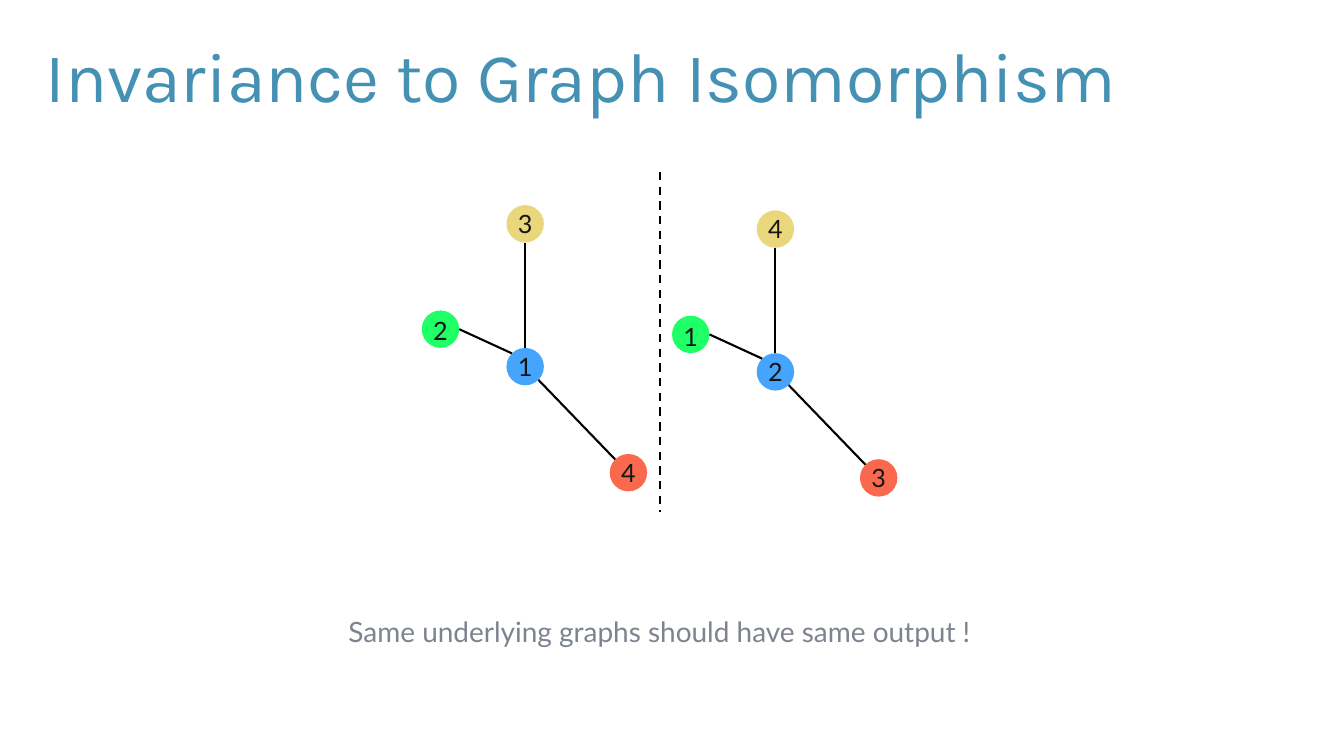
from dataclasses import dataclass
from math import cos, radians, sin

from pptx import Presentation
from pptx.dml.color import RGBColor
from pptx.enum import dml, shapes, text
from pptx.oxml.ns import qn
from pptx.util import Pt
from lxml import etree


@dataclass(frozen=True)
class Theme:
    title: str = "4591B3"
    label: str = "151618"
    note: str = "7D8490"
    line: str = "000000"
    green: str = "1FFF66"
    blue: str = "45A4FC"
    yellow: str = "EAD77B"
    red: str = "FA694E"
    head: str = "Karla"
    body: str = "Lato"
    big: int = 100
    mid: int = 40
    small: int = 36


theme = Theme()


def write(box, words, font=theme.body, size=theme.small, color=theme.label,
          align=text.PP_ALIGN.CENTER, anchor=text.MSO_ANCHOR.MIDDLE,
          space=1.1, wrap=True, fit=text.MSO_AUTO_SIZE.SHAPE_TO_FIT_TEXT):
    frame = box.text_frame
    frame.margin_left = frame.margin_right = 0
    frame.margin_top = frame.margin_bottom = 0
    frame.word_wrap = wrap
    frame.auto_size = fit
    frame.vertical_anchor = anchor
    para = frame.paragraphs[0]
    para.alignment = align
    para.line_spacing = space
    para.space_before = Pt(0)
    run = para.add_run()
    run.text = words
    run.font.name = font
    run.font.size = Pt(size)
    run.font.color.rgb = RGBColor.from_string(color)


def link(parent, start, end):
    line = parent.add_connector(shapes.MSO_CONNECTOR.STRAIGHT,
                                Pt(start[0]), Pt(start[1]), Pt(end[0]), Pt(end[1]))
    line.line.color.rgb = RGBColor.from_string(theme.line)
    line.line.width = Pt(3)
    etree.SubElement(line._element.spPr, qn("a:effectLst"))
    return line


deck = Presentation()
deck.slide_width, deck.slide_height = Pt(1920), Pt(1080)
slide = deck.slides.add_slide(deck.slide_layouts[5])

title = slide.shapes.title
title.left, title.top, title.width, title.height = Pt(65), Pt(69), Pt(1855), Pt(124.5)
write(title, "Invariance to Graph Isomorphism", font=theme.head, size=theme.big,
      color=theme.title, align=text.PP_ALIGN.LEFT, anchor=text.MSO_ANCHOR.TOP,
      space=0.8, fit=text.MSO_AUTO_SIZE.NONE)

size = 53.5
wide, tall = 28.8, 48.2
nodes = {
    "green": (0, 150.5, 3),
    "blue": (121, 204, 0.5),
    "yellow": (121, 0, 0.25),
    "red": (268.5, 355.5, 0),
}
edges = [
    ("green", 0, "blue", 225),
    ("blue", 45, "red", 225),
    ("yellow", 90, "blue", 270),
]
graphs = [
    (602.5, 293, {"green": "2", "blue": "1", "yellow": "3", "red": "4"}),
    (960, 300.5, {"green": "1", "blue": "2", "yellow": "4", "red": "3"}),
]

for left, top, labels in graphs:
    group = slide.shapes.add_group_shape().shapes
    for name, (x, y, drop) in nodes.items():
        dot = group.add_shape(shapes.MSO_SHAPE.OVAL, Pt(left + x), Pt(top + y),
                              Pt(size), Pt(size))
        dot.shadow.inherit = False
        dot.fill.solid()
        dot.fill.fore_color.rgb = RGBColor.from_string(getattr(theme, name))
        dot.line.fill.background()
    for first, out, last, into in edges:
        ends = []
        for name, angle in ((first, out), (last, into)):
            x, y, drop = nodes[name]
            turn = radians(angle)
            ends.append((left + x + size / 2 * (1 + cos(turn)),
                         top + y + size / 2 * (1 + sin(turn))))
        link(group, *ends)
    for name, (x, y, drop) in nodes.items():
        box = group.add_textbox(Pt(left + x + (size - wide) / 2), Pt(top + y + drop),
                                Pt(wide), Pt(tall))
        write(box, labels[name])

split = link(slide.shapes, (942.5, 245.5), (942.5, 731.5))
split.line.dash_style = dml.MSO_LINE.DASH

note = slide.shapes.add_textbox(Pt(481.5), Pt(872), Pt(921), Pt(53.5))
write(note, "Same underlying graphs should have same output !",
      size=theme.mid, color=theme.note, wrap=False)

deck.save("out.pptx")
